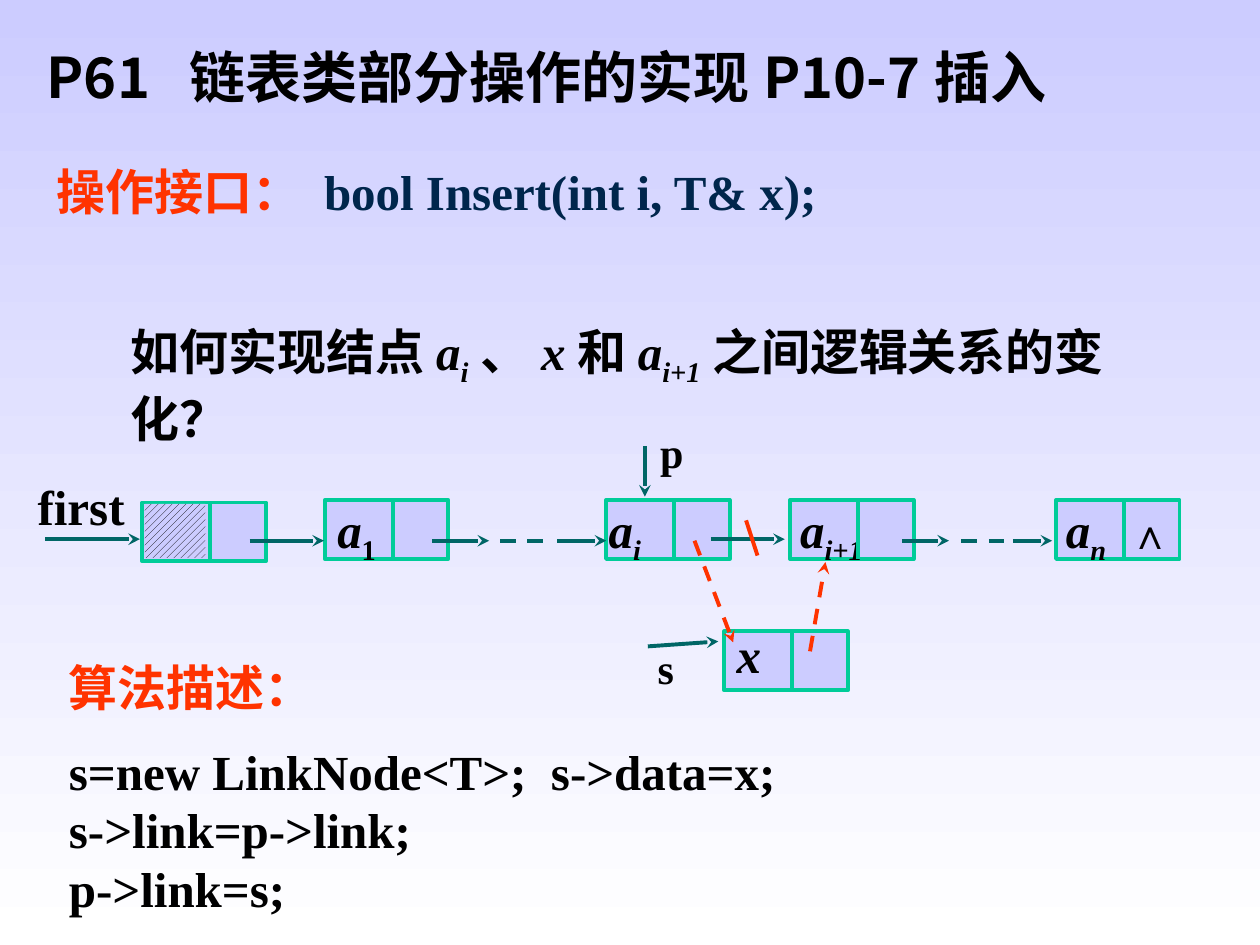
from dataclasses import dataclass

from lxml.etree import SubElement
from pptx import Presentation
from pptx.dml.color import RGBColor
from pptx.enum.dml import MSO_LINE_DASH_STYLE as Dash, MSO_PATTERN as Pattern
from pptx.enum.shapes import MSO_CONNECTOR as Connector, MSO_SHAPE as Shape
from pptx.enum.text import MSO_ANCHOR as Anchor, MSO_AUTO_SIZE as AutoSize, PP_ALIGN as Align
from pptx.oxml.ns import qn
from pptx.util import Cm, Pt

COLORS = {
    "black": "000000", "heading": "FF3300", "code": "00264C", "node": "CCCCFF",
    "border": "00CC99", "link": "006666", "change": "FF3300", "white": "FFFFFF",
}
SERIF, SANS = "Times New Roman", "Noto Sans CJK SC"
NODE_WIDTH, NODE_HEIGHT, DATA_WIDTH = 2.49, 1.19, 1.37
ROW_TOP, LINK_Y = 10.08, 10.9
MARGINS = (0.25, 0.13)


@dataclass
class Piece:
    text: str
    italic: bool = False
    subscript: bool = False
    color: str = ""


@dataclass
class Node:
    left: float
    top: float = ROW_TOP
    pieces: tuple[Piece, ...] = ()
    inset: float = 0.2


@dataclass
class Link:
    start: tuple[float, float]
    end: tuple[float, float]
    color: str = "link"
    dashed: bool = False
    arrow: bool = True


@dataclass
class Label:
    box: tuple[float, float, float, float]
    pieces: tuple[Piece, ...]
    size: int = 28
    align: Align = Align.LEFT
    inset: tuple[float, float] = (0, 0)


def variable(name: str, index: str, italic_index: bool = True) -> tuple[Piece, ...]:
    return Piece(name, italic=True), Piece(index, italic=italic_index, subscript=True)


NODES = (
    Node(2.87, 10.13),
    Node(6.55, pieces=variable("a", "1", False), inset=0.25),
    Node(12.22, pieces=variable("a", "i"), inset=0.05),
    Node(15.93, pieces=variable("a", "i+1")),
    Node(21.29, pieces=variable("a", "n")),
    Node(14.6, 12.73, (Piece("x", italic=True),), 0.25),
)

LINKS = (
    Link((0.91, 10.87), (2.82, 10.87)),
    Link((5.03, LINK_Y), (6.53, LINK_Y)),
    Link((8.71, LINK_Y), (9.86, LINK_Y)),
    Link((10.08, LINK_Y), (10.95, LINK_Y), dashed=True, arrow=False),
    Link((11.23, LINK_Y), (12.22, LINK_Y)),
    Link((14.33, 10.87), (15.82, 10.87)),
    Link((18.19, LINK_Y), (19.13, LINK_Y)),
    Link((19.38, LINK_Y), (20.27, LINK_Y), dashed=True, arrow=False),
    Link((20.42, LINK_Y), (21.21, LINK_Y)),
    Link((13, 8.99), (13, 10.01)),
    Link((13.06, 13.03), (14.48, 12.93)),
    Link((14, LINK_Y), (14.78, 12.95), "change", dashed=True),
    Link((16.33, 13.13), (16.64, 11.33), "change", dashed=True),
    Link((15.04, 10.49), (15.27, 11.2), "change", arrow=False),
)

LABELS = (
    Label((0.89, 3.12, 22.2, 1.45),
          (Piece("操作接口： ", color="heading"), Piece("bool Insert(int i, T& x);", color="code")),
          align=Align.JUSTIFY, inset=MARGINS),
    Label((2.39, 6.35, 20.8, 1.45),
          (Piece("如何实现结点"), *variable("a", "i"), Piece("、"), Piece("x", italic=True),
           Piece("和"), *variable("a", "i+1"), Piece("之间逻辑关系的变化？")),
          inset=MARGINS),
    Label((0.76, 9.6, 2.11, 1.3), (Piece("first"),)),
    Label((13.31, 8.59, 0.69, 1.02), (Piece("p"),), 24),
    Label((13.26, 12.95, 0.69, 1.02), (Piece("s"),), 24),
    Label((22.53, 10.11, 1.24, 1.27), (Piece("∧"),), 24, Align.CENTER, MARGINS),
)

ALGORITHM = (
    ("算法描述：", "heading", 0),
    ("s=new LinkNode<T>;  s->data=x;", "black", 14),
    ("s->link=p->link;", "black", 0),
    ("p->link=s;", "black", 0),
)


def rgb(name: str) -> RGBColor:
    return RGBColor.from_string(COLORS[name])


def place(shape, left: float, top: float, width: float, height: float) -> None:
    shape.left, shape.top, shape.width, shape.height = map(Cm, (left, top, width, height))


def set_font(paragraph, size: int, color: str = "black", name: str = SERIF) -> None:
    font = paragraph.font
    font.size, font.name, font.bold = Pt(size), name, True
    font.color.rgb = rgb(color)


def set_frame(frame, left: float, top: float, anchor: Anchor = Anchor.TOP) -> None:
    frame.word_wrap, frame.auto_size = True, AutoSize.NONE
    frame.vertical_anchor = anchor
    frame.margin_left = frame.margin_right = Cm(left)
    frame.margin_top = frame.margin_bottom = Cm(top)


def write_pieces(paragraph, pieces: tuple[Piece, ...], size: int = 28) -> None:
    set_font(paragraph, size)
    for piece in pieces:
        run = paragraph.add_run()
        run.text = piece.text
        if piece.italic:
            run.font.italic = True
        if piece.color:
            run.font.color.rgb = rgb(piece.color)
        if piece.subscript:
            run._r.get_or_add_rPr().set("baseline", "-25000")


def draw_link(shapes, link: Link) -> None:
    line = shapes.add_connector(Connector.STRAIGHT, *map(Cm, (*link.start, *link.end)))
    line.line.color.rgb, line.line.width = rgb(link.color), Pt(2.25)
    if link.dashed:
        line.line.dash_style = Dash.DASH
    properties = line._element.spPr
    if link.arrow:
        SubElement(properties.find(qn("a:ln")), qn("a:tailEnd"), type="stealth")
    SubElement(properties, qn("a:effectLst"))


def draw_node(shapes, node: Node) -> None:
    cell = shapes.add_shape(
        Shape.RECTANGLE, *map(Cm, (node.left, node.top, NODE_WIDTH, NODE_HEIGHT)))
    cell.shadow.inherit = False
    cell.fill.solid()
    cell.fill.fore_color.rgb = rgb("node")
    cell.line.color.rgb, cell.line.width = rgb("border"), Pt(2.25)
    if node.pieces:
        set_frame(cell.text_frame, node.inset, 0)
        paragraph = cell.text_frame.paragraphs[0]
        paragraph.alignment, paragraph.line_spacing = Align.LEFT, 0.9
        write_pieces(paragraph, node.pieces)
    divider = node.left + DATA_WIDTH
    draw_link(shapes, Link((divider, node.top), (divider, node.top + NODE_HEIGHT),
                           "border", arrow=False))


def draw_header_hatch(shapes, head: Node) -> None:
    hatch = shapes.add_shape(
        Shape.RECTANGLE, *map(Cm, (head.left + 0.05, head.top + 0.03, 1.22, 1.09)))
    hatch.shadow.inherit = False
    hatch.fill.patterned()
    hatch.fill.pattern = Pattern.WIDE_UPWARD_DIAGONAL
    hatch.fill.fore_color.rgb, hatch.fill.back_color.rgb = rgb("black"), rgb("node")
    hatch.line.fill.background()


def draw_label(shapes, label: Label) -> None:
    frame = shapes.add_textbox(*map(Cm, label.box)).text_frame
    set_frame(frame, *label.inset)
    frame.paragraphs[0].alignment = label.align
    write_pieces(frame.paragraphs[0], label.pieces, label.size)


def write_title(title) -> None:
    place(title, 0.69, 0.91, 24, 1.4)
    set_frame(title.text_frame, *MARGINS, Anchor.MIDDLE)
    title.text_frame.text = "P61  链表类部分操作的实现P10-7插入"
    paragraph = title.text_frame.paragraphs[0]
    paragraph.alignment, paragraph.line_spacing = Align.LEFT, 0.9
    set_font(paragraph, 32, name=SANS)


def write_algorithm(body) -> None:
    place(body, 1.14, 13.13, 19.69, 5.59)
    frame = body.text_frame
    set_frame(frame, *MARGINS)
    frame.text = "\n".join(text for text, _, _ in ALGORITHM)
    for paragraph, (_, color, gap) in zip(frame.paragraphs, ALGORITHM):
        properties = paragraph._p.get_or_add_pPr()
        properties.set("marL", "0")
        properties.set("indent", "0")
        SubElement(properties, qn("a:buNone"))
        paragraph.alignment, paragraph.space_before = Align.JUSTIFY, Pt(gap)
        set_font(paragraph, 28, color)


def main() -> None:
    deck = Presentation()
    deck.slide_width, deck.slide_height = Cm(25.4), Cm(19.05)
    slide = deck.slides.add_slide(deck.slide_layouts[1])
    background = slide.background.fill
    background.gradient()
    background.gradient_angle = 270
    for stop, color in zip(background.gradient_stops, ("node", "white")):
        stop.color.rgb = rgb(color)
    write_title(slide.shapes.title)
    write_algorithm(slide.placeholders[1])
    for node in NODES:
        draw_node(slide.shapes, node)
    draw_header_hatch(slide.shapes, NODES[0])
    for link in LINKS:
        draw_link(slide.shapes, link)
    for label in LABELS:
        draw_label(slide.shapes, label)
    deck.save("out.pptx")


if __name__ == "__main__":
    main()
